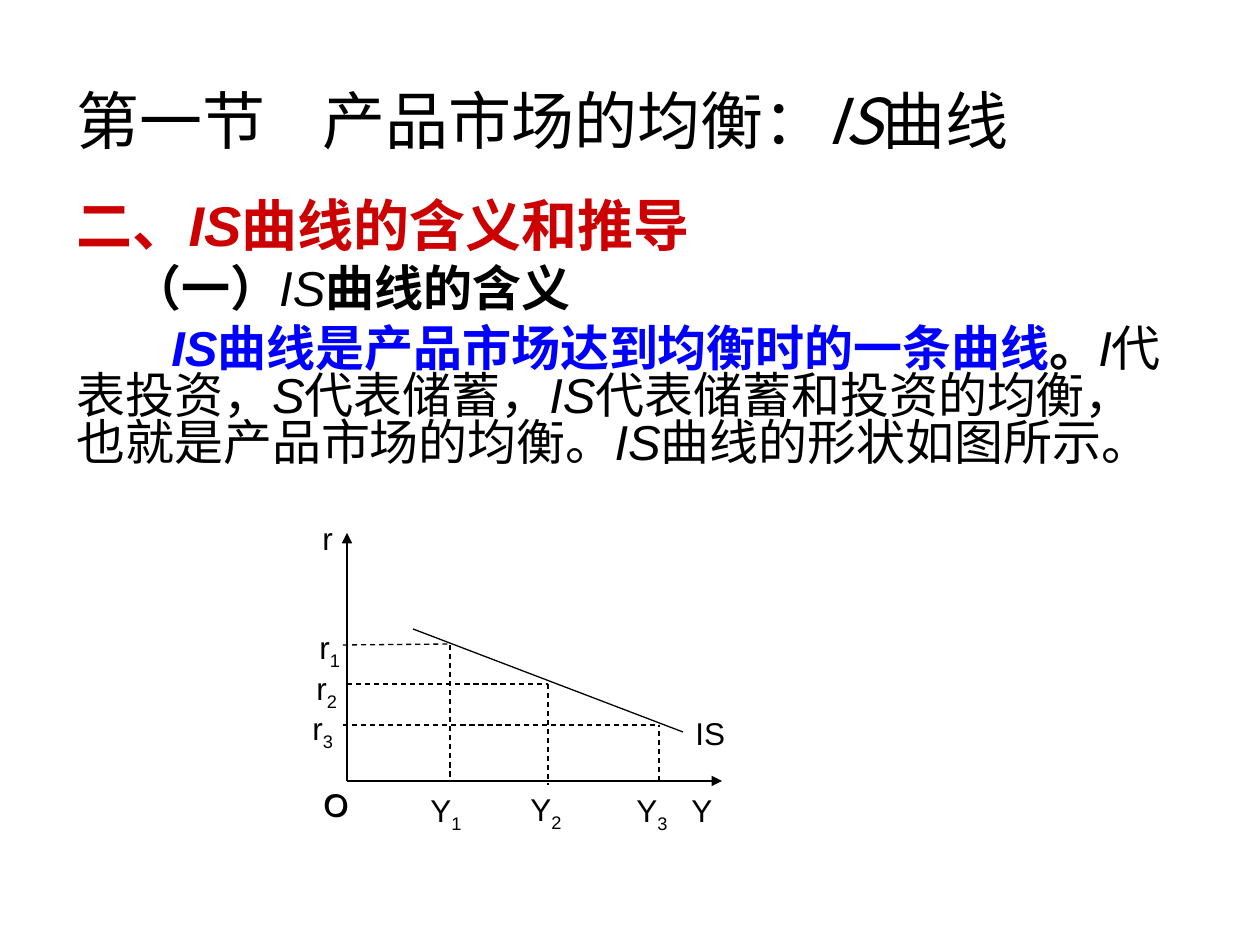
from pptx import Presentation
from pptx.dml.color import RGBColor
from pptx.enum.dml import MSO_LINE
from pptx.enum.shapes import MSO_CONNECTOR
from pptx.enum.text import MSO_ANCHOR
from pptx.oxml.ns import qn
from pptx.util import Pt
from lxml import etree

PX = 914400 / 126
STRAIGHT = MSO_CONNECTOR.STRAIGHT
DASH = MSO_LINE.DASH
MIDDLE = MSO_ANCHOR.MIDDLE

THEME = {
    "black": RGBColor(0, 0, 0), "red": RGBColor(0xCC, 0, 0), "blue": RGBColor(0, 0, 0xFF),
    "latin": "Arial", "cjk": "Noto Sans CJK SC",
    "title": 36, "heading": 32, "body": 28, "label": 18,
}


def add_box(left, top, width, height, wrap=True):
    box = page.shapes.add_textbox(*(round(v * PX) for v in (left, top, width, height)))
    box.text_frame.word_wrap = wrap
    return box.text_frame


def add_span(para, text, size, color="black", style="", font="latin"):
    """Style letters: b bold, i italic, s subscript."""
    span = para.add_run()
    span.text = text
    span.font.size = Pt(THEME[size])
    span.font.bold = "b" in style
    span.font.italic = "i" in style
    span.font.color.rgb = THEME[color]
    span.font.name = THEME[font]
    properties = span.font._element
    etree.SubElement(properties, qn("a:ea")).set("typeface", THEME["cjk"])
    if "s" in style:
        properties.set("baseline", "-25000")


deck = Presentation()
deck.slide_width, deck.slide_height = round(1260 * PX), round(945 * PX)
page = deck.slides.add_slide(deck.slide_layouts[6])

# Title, with a tab stop after the section number
frame = add_box(64, 26, 1134, 186)
frame.vertical_anchor = MIDDLE
para = frame.paragraphs[0]
tabs = etree.SubElement(para._p.get_or_add_pPr(), qn("a:tabLst"))
etree.SubElement(tabs, qn("a:tab"), pos=str(round(246 * PX)), algn="l")
for text, style in (("第一节\t产品市场的均衡：", ""), ("IS", "i"), ("曲线", "")):
    add_span(para, text, "title", style=style, font="cjk")

# Body: size, first-line indent, space before, spans
body = [
    ("heading", 0, 0, [("二、", "red", "b"), ("IS", "red", "bi"), ("曲线的含义和推导", "red", "b")]),
    ("body", 56, 7, [("（一）", "black", "b"), ("IS", "black", "i"), ("曲线的含义", "black", "b")]),
    ("body", 95, 7, [
        ("IS", "blue", "bi"), ("曲线是产品市场达到均衡时的一条曲线", "blue", "b"),
        ("。", "black", "b"), ("I", "black", "i"), ("代表投资，", "black", ""),
        ("S", "black", "i"), ("代表储蓄，", "black", ""), ("IS", "black", "i"),
        ("代表储蓄和投资的均衡，也就是产品市场的均衡。", "black", ""),
        ("IS", "black", "i"), ("曲线的形状如图所示。", "black", ""),
    ]),
]
frame = add_box(64, 197, 1125, 667)
for number, (size, indent, space, spans) in enumerate(body):
    para = frame.add_paragraph() if number else frame.paragraphs[0]
    para.line_spacing = 0.8
    para.space_before = Pt(space)
    para._p.get_or_add_pPr().set("indent", str(round(indent * PX)))
    for text, color, style in spans:
        add_span(para, text, size, color, style)

# Axes, IS curve and dashed guides: start, end, width, kind
lines = [
    (347, 781, 722, 781, 1, "arrow"),
    (347, 781, 347, 533, 0.75, "arrow"),
    (413, 629, 683, 732, 0.75, "solid"),
    (343, 645, 450, 644, 0.75, "dash"),
    (450, 645, 450, 781, 0.75, "dash"),
    (347, 684, 548, 684, 0.75, "dash"),
    (548, 684, 548, 785, 0.75, "dash"),
    (343, 725, 659, 725, 0.75, "dash"),
    (659, 781, 659, 725, 0.75, "dash"),
]
for *ends, width, kind in lines:
    connector = page.shapes.add_connector(STRAIGHT, *(round(v * PX) for v in ends))
    connector.line.color.rgb = THEME["black"]
    connector.line.width = Pt(width)
    if kind == "dash":
        connector.line.dash_style = DASH
    if kind == "arrow":
        etree.SubElement(connector.line._get_or_add_ln(), qn("a:tailEnd"), type="triangle")
    etree.SubElement(connector._element.spPr, qn("a:effectLst"))

# Labels: text, subscript, left, top, width; the origin letter is doubled
labels = [
    ("r", "", 310, 513, 35),
    ("r", "1", 307, 622, 56), ("r", "2", 304, 663, 56), ("r", "3", 300, 703, 56),
    ("Y", "1", 418, 785, 60), ("Y", "2", 518, 784, 60), ("Y", "3", 624, 785, 60),
    ("Y", "", 679, 785, 46),
    ("IS", "", 683, 708, 58),
    ("O", "", 312, 780, 50), ("O", "", 311, 779, 50),
]
for text, subscript, left, top, width in labels:
    para = add_box(left, top, width, 50, wrap=False).paragraphs[0]
    add_span(para, text, "label")
    if subscript:
        add_span(para, subscript, "label", style="s")

deck.save("out.pptx")
